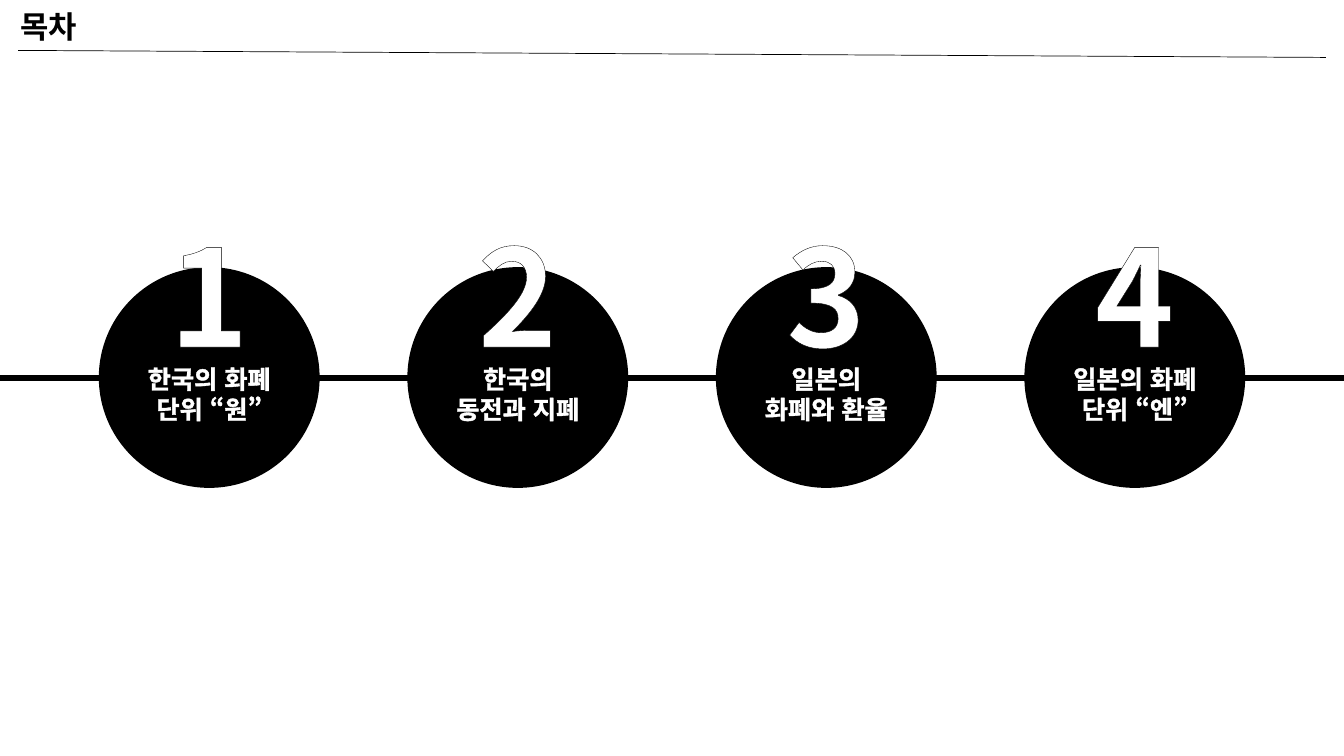
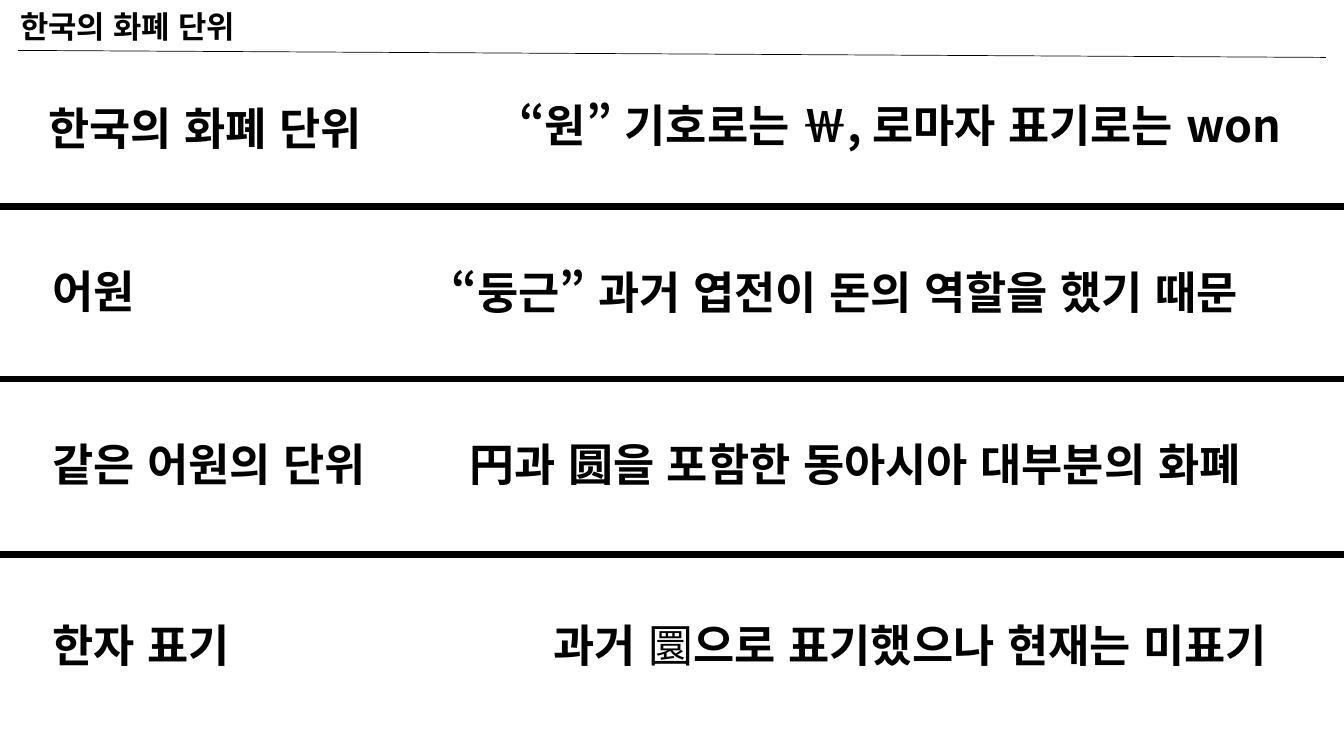
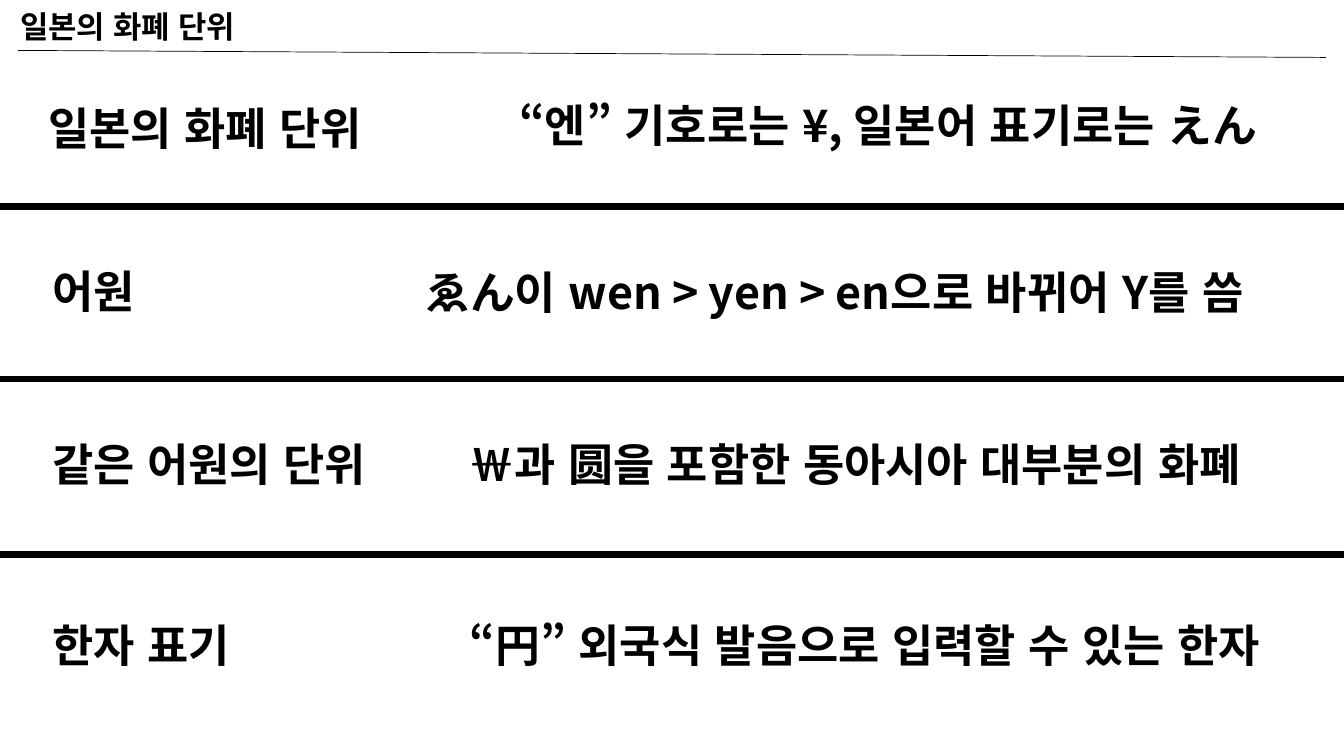
"""Builds three slides on the Korean won and the Japanese yen."""
from dataclasses import dataclass

from lxml import etree
from pptx import Presentation
from pptx.dml.color import RGBColor
from pptx.enum.lang import MSO_LANGUAGE_ID
from pptx.enum.shapes import MSO_CONNECTOR, MSO_SHAPE
from pptx.enum.text import MSO_ANCHOR, MSO_AUTO_SIZE, PP_ALIGN
from pptx.oxml.ns import qn
from pptx.slide import Slide
from pptx.text.text import TextFrame, _Paragraph
from pptx.util import Inches, Pt

KOREAN = MSO_LANGUAGE_ID.KOREAN
STRAIGHT = MSO_CONNECTOR.STRAIGHT
ELLIPSE = MSO_SHAPE.OVAL
MIDDLE = MSO_ANCHOR.MIDDLE
GROW = MSO_AUTO_SIZE.SHAPE_TO_FIT_TEXT
CENTER = PP_ALIGN.CENTER

COLORS = {"ink": "000000", "paper": "FFFFFF"}
FONT = "Noto Sans CJK KR"
PAGE_WIDTH, PAGE_HEIGHT = 13.33, 7.5
HEAVY, FINE = 4.5, 0.5
CIRCLE_LEFT, CIRCLE_TOP, CIRCLE_SIZE, CIRCLE_PITCH = 0.98, 2.65, 2.19, 3.06
DIVIDER_TOPS = (2.05, 3.76, 5.5)


@dataclass(frozen=True)
class Span:
    """A stretch of text with one weight."""

    text: str
    bold: bool = True


@dataclass(frozen=True)
class Row:
    """The place of one label and its fact."""

    label_left: float
    label_top: float
    label_width: float
    fact_top: float
    fact_right: float
    label_wraps: bool = True


@dataclass(frozen=True)
class Fact:
    """A label, its explanation and where the explanation starts."""

    label: str
    left: float
    spans: tuple[Span, ...]


@dataclass(frozen=True)
class Currency:
    """The content of one currency slide."""

    title: str
    facts: tuple[Fact, ...]


ROWS = (
    Row(0.38, 0.95, 3.66, 0.92, 13.33, label_wraps=False),
    Row(0.42, 2.57, 3.58, 2.58, 13.15),
    Row(0.42, 4.28, 3.7, 4.28, 13.33),
    Row(0.42, 6.08, 3.7, 6.08, 13.33),
)
TOPICS = ("한국의 화폐 단위 “원”", "한국의 동전과 지폐", "일본의 화폐와 환율", "일본의 화폐 단위 “엔”")
CURRENCIES = (
    Currency("한국의 화폐 단위", (
        Fact("한국의 화폐 단위", 5.05, (Span("“원” 기호로는 ￦, 로마자 표기로는 won"),)),
        Fact("어원", 4.38, (Span("“둥근” 과거 엽전이 돈의 역할을 했기 때문"),)),
        Fact("같은 어원의 단위", 4.56, (Span("円과 圆을 포함한 동아시아 대부분의 화폐"),)),
        Fact("한자 표기", 5.39, (
            Span("과거 "), Span("圜", bold=False), Span("으로 표기했으나 현재는 미표기"))),
    )),
    Currency("일본의 화폐 단위", (
        Fact("일본의 화폐 단위", 5.05, (Span("“엔” 기호로는 ¥, 일본어 표기로는 えん"),)),
        Fact("어원", 4.12, (Span("ゑん이 wen > yen > en으로 바뀌어 Y를 씀"),)),
        Fact("같은 어원의 단위", 4.56, (Span("￦과 圆을 포함한 동아시아 대부분의 화폐"),)),
        Fact("한자 표기", 4.56, (Span("“円” 외국식 발음으로 입력할 수 있는 한자"),)),
    )),
)


def add_span(para: _Paragraph, text: str, *, size: float, color: str = "ink",
             bold: bool = True, outline: str = "ink", outline_width: float = 0.25) -> None:
    """Add outlined text to a paragraph."""
    span = para.add_run()
    span.text = text
    font = span.font
    font.size, font.bold, font.name = Pt(size), bold, FONT
    font.language_id = KOREAN
    font.color.rgb = RGBColor.from_string(COLORS[color])
    properties = span._r.get_or_add_rPr()
    east_asian = etree.Element(qn("a:ea"), typeface=FONT)
    properties.find(qn("a:latin")).addnext(east_asian)
    edge = etree.Element(qn("a:ln"), w=str(Pt(outline_width)))
    fill = etree.SubElement(edge, qn("a:solidFill"))
    etree.SubElement(fill, qn("a:srgbClr"), val=COLORS[outline])
    properties.insert(0, edge)


def add_box(page: Slide, left: float, top: float, width: float, height: float,
            *, wraps: bool = True, grows: bool = True) -> TextFrame:
    """Add a text box and return its frame."""
    box = page.shapes.add_textbox(Inches(left), Inches(top), Inches(width), Inches(height))
    frame = box.text_frame
    frame.word_wrap = wraps
    if grows:
        frame.auto_size = GROW
    return frame


def add_line(page: Slide, start: tuple[float, float], end: tuple[float, float],
             width: float) -> None:
    """Draw a plain line without a shadow."""
    line = page.shapes.add_connector(STRAIGHT, *map(Inches, start + end))
    line.line.color.rgb = RGBColor.from_string(COLORS["ink"])
    line.line.width = Pt(width)
    etree.SubElement(line._element.spPr, qn("a:effectLst"))


def add_rule(page: Slide, top: float) -> None:
    """Draw a heavy rule across the page."""
    add_line(page, (PAGE_WIDTH, top), (0, top), HEAVY)


def add_title(page: Slide, title: str) -> None:
    """Add the slide title and the fine line under it."""
    para = add_box(page, 0.1, 0.07, 13.05, 0.43, grows=False).paragraphs[0]
    para.line_spacing, para.space_before = 0.9, Pt(10)
    add_span(para, title, size=22)
    add_line(page, (13.15, 0.57), (0.18, 0.5), FINE)


def add_circle(page: Slide, left: float, topic: str) -> None:
    """Draw a black circle with a topic below its middle."""
    circle = page.shapes.add_shape(
        ELLIPSE, Inches(left), Inches(CIRCLE_TOP), Inches(CIRCLE_SIZE), Inches(CIRCLE_SIZE))
    circle.shadow.inherit = False
    circle.fill.solid()
    circle.fill.fore_color.rgb = RGBColor.from_string(COLORS["ink"])
    circle.line.fill.background()
    frame = circle.text_frame
    frame.word_wrap, frame.vertical_anchor = True, MIDDLE
    frame.margin_top = Inches(0.37)
    para = frame.paragraphs[0]
    para.alignment = CENTER
    add_span(para, topic, size=18, color="paper", outline="paper")


def build_contents(page: Slide) -> None:
    """Build the numbered table of contents."""
    add_rule(page, PAGE_HEIGHT / 2)
    add_title(page, "목차")
    for index, topic in enumerate(TOPICS):
        left = CIRCLE_LEFT + index * CIRCLE_PITCH
        add_circle(page, left, topic)
        number = add_box(page, left + 0.6, 2.06, 0.99, 1.72).paragraphs[0]
        add_span(number, str(index + 1), size=96, color="paper", outline_width=4.5)


def build_currency(page: Slide, currency: Currency) -> None:
    """Build a slide of labelled facts between rules."""
    add_title(page, currency.title)
    for top in DIVIDER_TOPS:
        add_rule(page, top)
    for row, fact in zip(ROWS, currency.facts):
        label = add_box(page, row.label_left, row.label_top, row.label_width, 0.64,
                        wraps=row.label_wraps)
        add_span(label.paragraphs[0], fact.label, size=32)
        frame = add_box(page, fact.left, row.fact_top, row.fact_right - fact.left, 0.64)
        for span in fact.spans:
            add_span(frame.paragraphs[0], span.text, size=32, bold=span.bold)


def main() -> None:
    """Build and save the deck."""
    deck = Presentation()
    deck.slide_width, deck.slide_height = Inches(PAGE_WIDTH), Inches(PAGE_HEIGHT)
    blank = deck.slide_layouts[6]
    build_contents(deck.slides.add_slide(blank))
    for currency in CURRENCIES:
        build_currency(deck.slides.add_slide(blank), currency)
    deck.save("out.pptx")


main()
